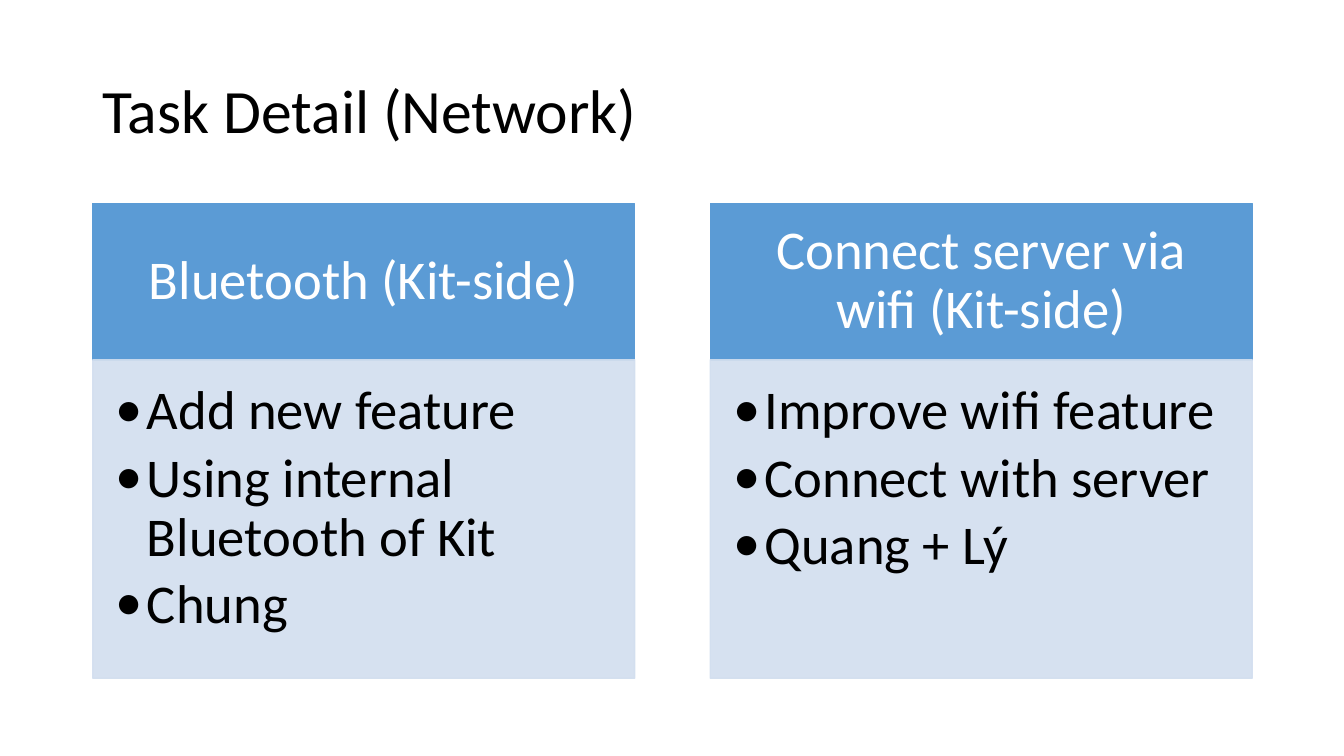
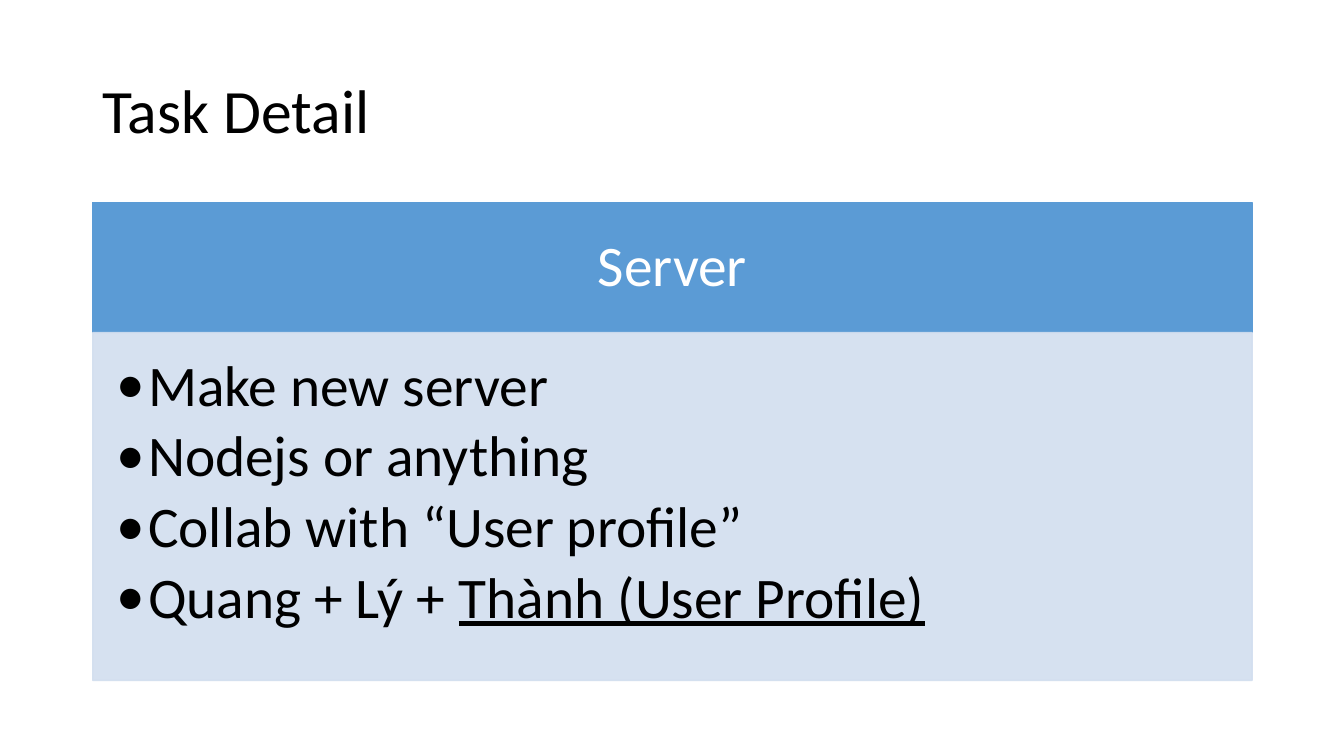
from lxml.etree import SubElement
from pptx import Presentation
from pptx.dml.color import RGBColor
from pptx.enum.shapes import MSO_SHAPE as Shape
from pptx.enum.text import MSO_ANCHOR as Anchor, PP_ALIGN as Align
from pptx.oxml.ns import qn
from pptx.util import Inches, Pt

# Each bullet is a list of (text, underlined) runs.
SLIDES = [
    {"title": "Task Detail (Network)", "size": 39,
     "top": 2.02, "header_height": 1.55, "body_height": 3.16,
     "cards": [
         ("Bluetooth (Kit-side)", [
             [("Add new feature", False)],
             [("Using internal Bluetooth of Kit", False)],
             [("Chung", False)]]),
         ("Connect server via wifi (Kit-side)", [
             [("Improve wifi feature", False)],
             [("Connect with server", False)],
             [("Quang + Lý", False)]])]},
    {"title": "Task Detail", "size": 41,
     "top": 2.01, "header_height": 1.29, "body_height": 3.45,
     "cards": [
         ("Server", [
             [("Make new server", False)],
             [("Nodejs or anything", False)],
             [("Collab with “User profile”", False)],
             [("Quang + Lý + ", False), ("Thành (User Profile)", True)]])]},
]

FONT = "Calibri"
BLACK, WHITE, BLUE, PALE = "000000", "FFFFFF", "5B9BD5", "D2DEEF"
LEFT, CONTENT_WIDTH, CARD_GAP = 0.92, 11.5, 0.75
TITLE_TOP, TITLE_HEIGHT, TITLE_SIZE = 0.4, 1.45, 44
BULLET_INDENT = 0.31
# Left, top, right and bottom insets, in multiples of the font size.
HEADER_INSETS = (0.56, 0.32, 0.56, 0.32)
BODY_INSETS = (0.42, 0.42, 0.56, 0.63)


def color(hex_code):
    """Turn a hex string into a colour."""
    return RGBColor.from_string(hex_code)


def style_paragraph(paragraph, size, hex_code, align=Align.LEFT):
    """Set the font, alignment and line spacing of a paragraph."""
    paragraph.alignment = align
    paragraph.line_spacing = 0.9
    paragraph.font.name = FONT
    paragraph.font.size = Pt(size)
    paragraph.font.color.rgb = color(hex_code)


def add_bullet(paragraph):
    """Give a paragraph a round bullet with a hanging indent."""
    properties = paragraph._p.get_or_add_pPr()
    properties.set("marL", str(Inches(BULLET_INDENT)))
    properties.set("indent", str(-Inches(BULLET_INDENT)))
    for tag, attributes in (("a:buFont", {"typeface": FONT}),
                            ("a:buChar", {"char": "•"})):
        element = properties.makeelement(qn(tag), attributes)
        properties.insert_element_before(
            element, "a:tabLst", "a:defRPr", "a:extLst")


def set_opacity(fill, percent):
    """Make a solid fill partly transparent."""
    solid = fill._xPr.find(qn("a:solidFill"))
    SubElement(solid[0], qn("a:alpha"), val=str(percent * 1000))


def add_box(slide, place, hex_code, opacity, size, insets, anchor):
    """Draw a filled rectangle and return its text frame."""
    shape = slide.shapes.add_shape(Shape.RECTANGLE, *map(Inches, place))
    shape.shadow.inherit = False
    shape.line.width = Pt(1)
    for fill in (shape.fill, shape.line.fill):
        fill.solid()
        fill.fore_color.rgb = color(hex_code)
        if opacity < 100:
            set_opacity(fill, opacity)
    frame = shape.text_frame
    frame.word_wrap = True
    frame.vertical_anchor = anchor
    (frame.margin_left, frame.margin_top, frame.margin_right,
     frame.margin_bottom) = [Pt(inset * size) for inset in insets]
    return frame


def add_title(slide, text):
    """Write the slide title."""
    place = (LEFT, TITLE_TOP, CONTENT_WIDTH, TITLE_HEIGHT)
    frame = slide.shapes.add_textbox(*map(Inches, place)).text_frame
    frame.word_wrap = True
    frame.vertical_anchor = Anchor.MIDDLE
    frame.text = text
    style_paragraph(frame.paragraphs[0], TITLE_SIZE, BLACK)


def add_card(slide, left, width, content, card):
    """Draw a header band with a bulleted panel below it."""
    heading, bullets = card
    size, top = content["size"], content["top"]
    header_height = content["header_height"]
    header = add_box(slide, (left, top, width, header_height), BLUE, 100,
                     size, HEADER_INSETS, Anchor.MIDDLE)
    header.text = heading
    style_paragraph(header.paragraphs[0], size, WHITE, Align.CENTER)

    place = (left, top + header_height, width, content["body_height"])
    body = add_box(slide, place, PALE, 90, size, BODY_INSETS, Anchor.TOP)
    for index, runs in enumerate(bullets):
        paragraph = body.add_paragraph() if index else body.paragraphs[0]
        style_paragraph(paragraph, size, BLACK)
        paragraph.space_after = Pt(0.15 * size)
        add_bullet(paragraph)
        for text, underlined in runs:
            run = paragraph.add_run()
            run.text = text
            if underlined:
                run.font.underline = True


def build():
    """Build and save the presentation."""
    presentation = Presentation()
    presentation.slide_width = Inches(13.33)
    presentation.slide_height = Inches(7.5)
    for content in SLIDES:
        slide = presentation.slides.add_slide(presentation.slide_layouts[6])
        add_title(slide, content["title"])
        cards = content["cards"]
        width = (CONTENT_WIDTH - CARD_GAP * (len(cards) - 1)) / len(cards)
        for index, card in enumerate(cards):
            left = LEFT + index * (width + CARD_GAP)
            add_card(slide, left, width, content, card)
    presentation.save("out.pptx")


build()
